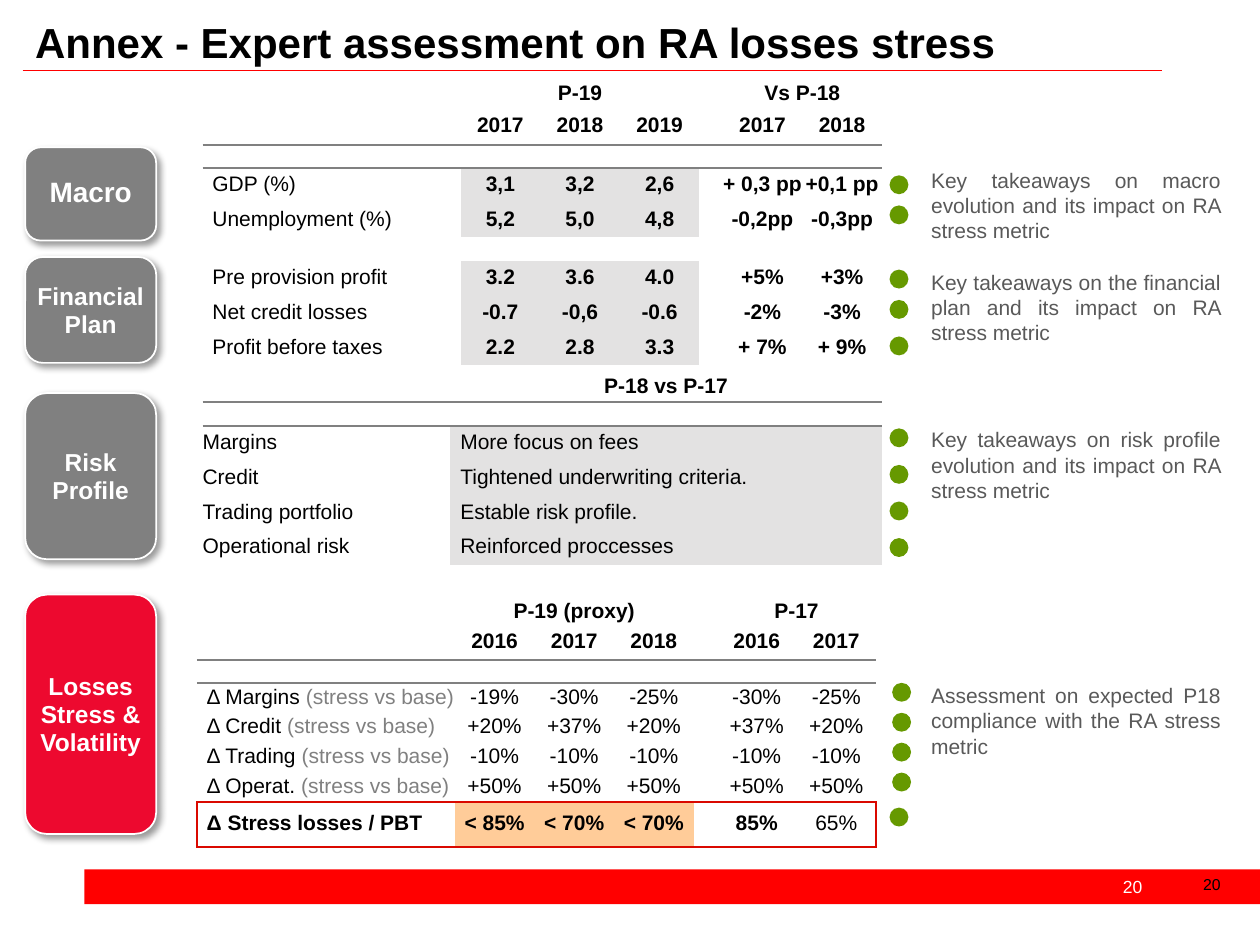
from lxml.etree import SubElement
from pptx import Presentation
from pptx.dml.color import RGBColor
from pptx.enum.shapes import MSO_CONNECTOR as Connector, MSO_SHAPE as Shape
from pptx.enum.text import MSO_ANCHOR as Anchor, PP_ALIGN as Align
from pptx.oxml.ns import qn
from pptx.util import Pt

BLACK, WHITE, RED = "000000", "FFFFFF", "FF0000"
GREY, LIGHT_GREY, DARK_GREY = "808080", "E3E2E2", "595959"
CRIMSON, OUTLINE_RED, PEACH, GREEN = "ED092F", "DA0900", "FFCC99", "669900"
NO_STYLE = "{2D5ABB26-0587-4C30-8999-92F81FD0307C}"
RULE = (GREY, 1.5)
OUTLINE = (OUTLINE_RED, 1)
FIGURE_COLUMNS = [5.6, 141.8, 45.5, 45.5, 45.5, 13.3, 45.5, 45.5]


def rgb(color):
    return RGBColor.from_string(color)


def add_run(paragraph, text, size, color, bold=False):
    run = paragraph.add_run()
    run.text = text
    font = run.font
    font.name, font.size, font.bold = "Arial", Pt(size), bold
    font.color.rgb = rgb(color)


def add_text(slide, left, top, width, height, text, size, color=BLACK, bold=False,
             align=Align.LEFT, margin_left=7.2):
    frame = slide.shapes.add_textbox(Pt(left), Pt(top), Pt(width), Pt(height)).text_frame
    frame.word_wrap = True
    frame.margin_left = Pt(margin_left)
    paragraph = frame.paragraphs[0]
    paragraph.alignment = align
    add_run(paragraph, text, size, color, bold)


def add_plain_shape(slide, kind, left, top, width, height, color):
    shape = slide.shapes.add_shape(kind, Pt(left), Pt(top), Pt(width), Pt(height))
    shape.shadow.inherit = False
    shape.fill.solid()
    shape.fill.fore_color.rgb = rgb(color)
    shape.line.fill.background()
    return shape


def add_soft_shadow(shape):
    effects = shape._element.spPr.find(qn("a:effectLst"))
    shadow = SubElement(effects, qn("a:outerShdw"), blurRad=str(Pt(4)), dist=str(Pt(3)),
                        dir=str(45 * 60000), algn="tl", rotWithShape="0")
    color = SubElement(shadow, qn("a:srgbClr"), val=BLACK)
    SubElement(color, qn("a:alpha"), val="40000")


def add_heading(slide, left, top, width):
    add_text(slide, left, top, width, 36, "Annex - Expert assessment on RA losses stress",
             24, bold=True)
    rule = slide.shapes.add_connector(Connector.STRAIGHT, Pt(left), Pt(top + 34.5),
                                      Pt(left + 651), Pt(top + 34.5))
    rule.line.color.rgb = rgb(RED)
    rule.line.width = Pt(0.75)
    SubElement(rule._element.spPr, qn("a:effectLst"))


def add_footer(slide, left, top, width, height):
    add_plain_shape(slide, Shape.RECTANGLE, left, top, width, height, RED)
    add_text(slide, left + 578.9, top, 40.3, 19.4, "20", 10, WHITE, align=Align.CENTER)
    add_text(slide, left + 632.2, top - 0.7, 30.2, 28.8, "20", 9)


def add_section(slide, left, top, height, labels, size, color, takeaway, takeaway_offset, dots):
    """Label on the left, status dots and takeaway on the right; dots are (x, y) offsets."""
    pill = add_plain_shape(slide, Shape.ROUNDED_RECTANGLE, left, top, 74.9, height, color)
    pill.line.color.rgb = rgb(WHITE)
    pill.line.width = Pt(1)
    add_soft_shadow(pill)
    frame = pill.text_frame
    frame.word_wrap = True
    frame.vertical_anchor = Anchor.MIDDLE
    frame.margin_left = frame.margin_right = Pt(2.9)
    for index, label in enumerate(labels):
        paragraph = frame.add_paragraph() if index else frame.paragraphs[0]
        paragraph.alignment = Align.CENTER
        paragraph.line_spacing = Pt(16)
        add_run(paragraph, label, size, WHITE, True)
    add_text(slide, left + 514.8, top + takeaway_offset, 175.7, 59.8, takeaway, 12,
             DARK_GREY, align=Align.JUSTIFY, margin_left=2.9)
    for x, y in dots:
        add_plain_shape(slide, Shape.OVAL, left + x, top + y, 10.8, 10.8, GREEN)


def set_borders(cell, borders):
    properties = cell._tc.get_or_add_tcPr()
    for side in "LRTB":
        if side in borders:
            color, width = borders[side]
            line = SubElement(properties, qn(f"a:ln{side}"), w=str(Pt(width)))
            fill = SubElement(line, qn("a:solidFill"))
            SubElement(fill, qn("a:srgbClr"), val=color)


def fill_cell(cell, content, fill=None, bold=True, align=Align.CENTER, margin_left=0, borders=()):
    """Content is a string, or a pair whose second part is a grey remark."""
    set_borders(cell, borders)
    cell.margin_top = cell.margin_bottom = cell.margin_right = 0
    cell.margin_left = Pt(margin_left)
    cell.vertical_anchor = Anchor.MIDDLE
    if fill:
        cell.fill.solid()
        cell.fill.fore_color.rgb = rgb(fill)
    else:
        cell.fill.background()
    paragraph = cell.text_frame.paragraphs[0]
    paragraph.alignment = align
    paragraph.line_spacing = 0.9
    if not content:
        SubElement(paragraph._p, qn("a:endParaRPr"), sz="600")
        return
    parts = content if isinstance(content, tuple) else (content,)
    for part, color in zip(parts, (BLACK, GREY)):
        add_run(paragraph, part, 12, color, bold)


def add_grid(slide, left, top, widths, heights, rows, look, spans=()):
    """Look gives the cell options for a row and column; spans are (row, first, last)."""
    table = slide.shapes.add_table(len(heights), len(widths), Pt(left), Pt(top),
                                   Pt(sum(widths)), Pt(sum(heights))).table
    table._tbl.tblPr.find(qn("a:tableStyleId")).text = NO_STYLE
    table.first_row = table.horz_banding = False
    for column, width in zip(table.columns, widths):
        column.width = Pt(width)
    for row, height in zip(table.rows, heights):
        row.height = Pt(height)
    for r, row in enumerate(rows):
        for c, content in enumerate(row or [""] * len(widths)):
            fill_cell(table.cell(r, c), content, **look(r, c))
    for row, first, last in spans:
        table.cell(row, first).merge(table.cell(row, last))


def header_rule(row, rule_row):
    return {"B": RULE} if row == rule_row else {"T": RULE} if row == rule_row + 1 else {}


def add_plan_table(slide, left, top):
    def figures(label, *values):
        return ["", label, *values[:3], "", *values[3:]]

    def look(r, c):
        label = c == 1 and r > 2
        shaded = r in (3, 4, 6, 7, 8) and c in (2, 3, 4)
        return dict(fill=LIGHT_GREY if shaded else None, bold=not label,
                    align=Align.LEFT if label else Align.CENTER, borders=header_rule(r, 1))

    rows = [
        ["", "", "", "P-19", "", "", "Vs P-18", ""],
        figures("", "2017", "2018", "2019", "2017", "2018"),
        None,
        figures("GDP (%)", "3,1", "3,2", "2,6", "+ 0,3 pp", "+0,1 pp"),
        figures("Unemployment (%)", "5,2", "5,0", "4,8", "-0,2pp", "-0,3pp"),
        None,
        figures("Pre provision profit", "3.2", "3.6", "4.0", "+5%", "+3%"),
        figures("Net credit losses", "-0.7", "-0,6", "-0.6", "-2%", "-3%"),
        figures("Profit before taxes", "2.2", "2.8", "3.3", "+ 7%", "+ 9%"),
    ]
    heights = [14.4, 21.6, 13.2] + [19.8] * 2 + [13.8] + [19.8] * 3
    add_grid(slide, left, top, FIGURE_COLUMNS, heights, rows, look,
             [(0, 6, 7), (1, 0, 1), (2, 0, 1)])


def add_risk_table(slide, left, top):
    def look(r, c):
        body = r > 1
        return dict(fill=LIGHT_GREY if body and c else None, bold=not body,
                    align=Align.LEFT if body else Align.CENTER,
                    margin_left=5.8 if body and c else 0, borders=header_rule(r, 0))

    rows = [
        ["", "P-18 vs P-17"],
        None,
        ["Margins", "More focus on fees"],
        ["Credit", "Tightened underwriting criteria."],
        ["Trading portfolio", "Estable risk profile."],
        ["Operational risk", "Reinforced proccesses"],
    ]
    add_grid(slide, left, top, [141.5, 246.7], [16.6, 13.7] + [19.85] * 4, rows, look)


def add_losses_table(slide, left, top):
    total = 7

    def look(r, c):
        borders = header_rule(r, 1)
        if r == total - 1:
            borders = {"B": OUTLINE}
        elif r == total:
            borders = {"T": OUTLINE, "B": OUTLINE}
            borders.update({0: {"L": OUTLINE}, 7: {"R": OUTLINE}}.get(c, {}))
        return dict(fill=PEACH if r == total and c in (2, 3, 4) else None,
                    bold=r < 2 or (r == total and c < 7),
                    align=Align.LEFT if c == 1 else Align.CENTER, borders=borders)

    def stress(name, first, second, third):
        return ["", (f"Δ {name} ", "(stress vs base)"), first, second, third, "", second, third]

    rows = [
        ["", "", "P-19 (proxy)", "", "", "", "P-17", ""],
        ["", "", "2016", "2017", "2018", "", "2016", "2017"],
        None,
        stress("Margins", "-19%", "-30%", "-25%"),
        stress("Credit", "+20%", "+37%", "+20%"),
        stress("Trading", "-10%", "-10%", "-10%"),
        stress("Operat.", "+50%", "+50%", "+50%"),
        ["", "Δ Stress losses / PBT", "< 85%", "< 70%", "< 70%", "", "85%", "65%"],
    ]
    add_grid(slide, left, top, FIGURE_COLUMNS, [14.4, 20, 13.2] + [17] * 4 + [25.7], rows, look,
             [(0, 2, 4), (0, 6, 7), (1, 0, 1), (2, 0, 1)])


def main():
    presentation = Presentation()
    presentation.slide_width, presentation.slide_height = Pt(720), Pt(540)
    slide = presentation.slides.add_slide(presentation.slide_layouts[6])
    add_footer(slide, 48.2, 496.8, 671.8, 19.8)
    add_heading(slide, 13, 5.8, 689)
    add_plan_table(slide, 115.8, 46.8)
    add_risk_table(slide, 115.8, 213.1)
    add_losses_table(slide, 112.5, 342.7)

    impact = "and its impact on RA stress metric"
    dot_x = 493.9
    sections = [
        (84.2, 53.3, ["Macro"], 16, GREY, f"Key takeaways on macro evolution {impact}", 8,
         [(dot_x, 16), (dot_x, 33.2)]),
        (146.9, 60.5, ["Financial", "Plan"], 14, GREY,
         f"Key takeaways on the financial plan {impact}", 3.6,
         [(dot_x, 7.2), (dot_x, 24.5), (dot_x, 45.4)]),
        (224.6, 95, ["Risk Profile"], 14, GREY,
         f"Key takeaways on risk profile evolution {impact}", 15.9,
         [(dot_x, 20.2 + 20.9 * i) for i in range(4)]),
        (339.8, 136.8, ["Losses Stress & Volatility"], 14, CRIMSON,
         "Assessment on expected P18 compliance with the RA stress metric", 46.8,
         [(dot_x + 1.5, 50.4 + 17.1 * i) for i in range(4)] + [(dot_x, 121.7)]),
    ]
    for section in sections:
        add_section(slide, 14.4, *section)
    presentation.save("out.pptx")


if __name__ == "__main__":
    main()
